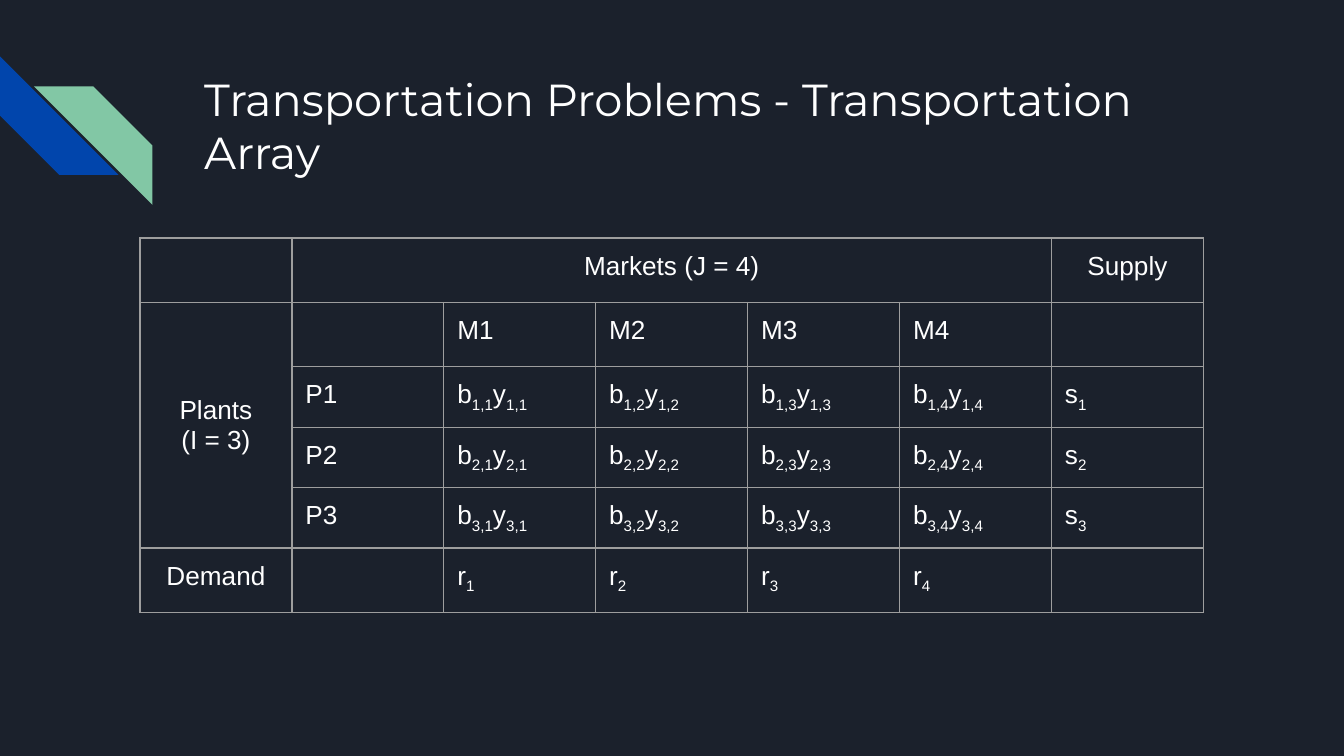
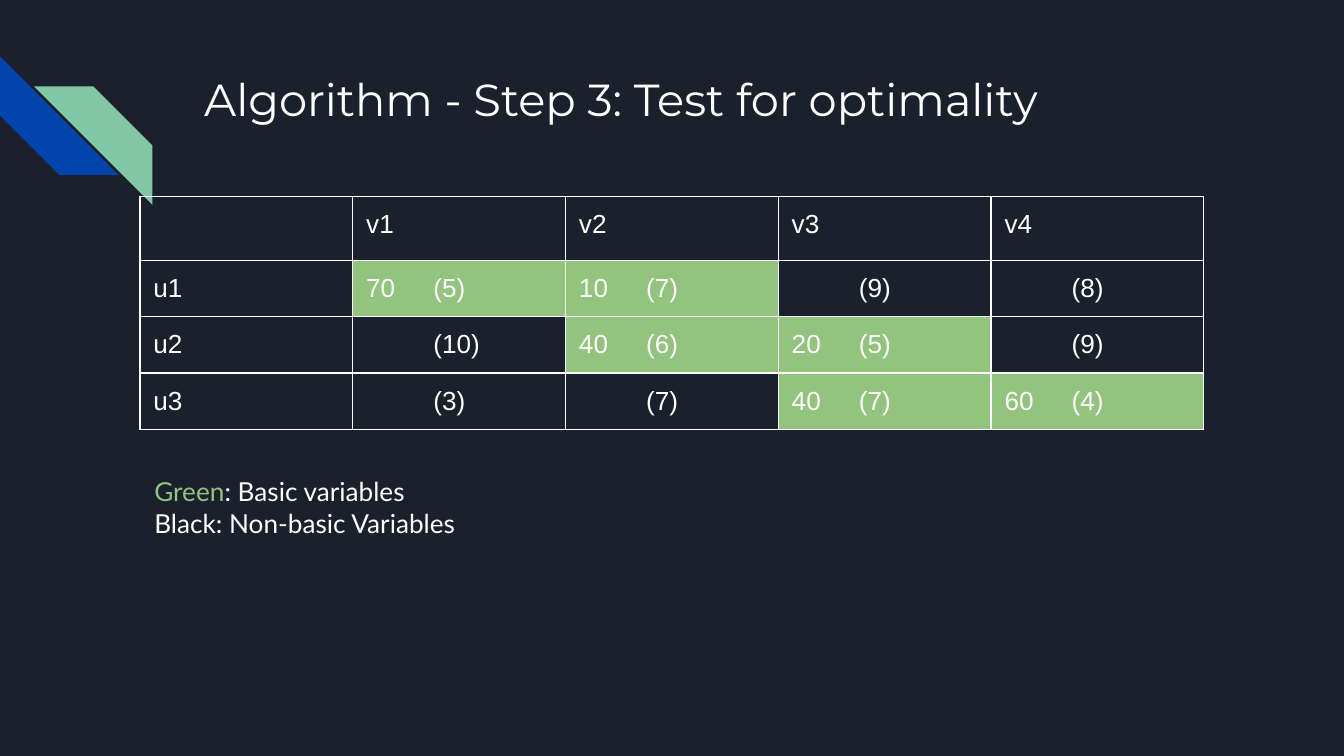
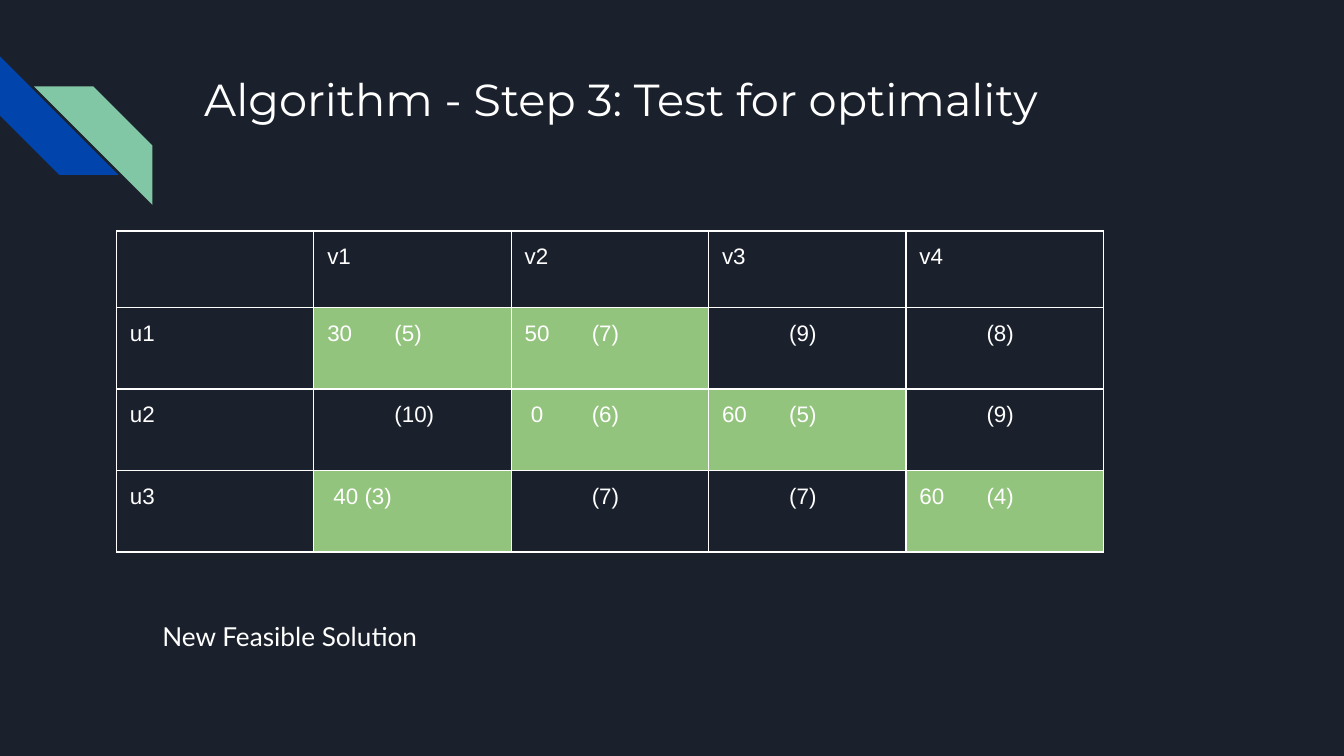
from dataclasses import dataclass

from lxml import etree
from pptx import Presentation
from pptx.dml.color import RGBColor
from pptx.enum.shapes import MSO_SHAPE
from pptx.enum.text import MSO_ANCHOR, MSO_AUTO_SIZE, PP_ALIGN
from pptx.oxml.ns import qn
from pptx.util import Pt

STRIPE = MSO_SHAPE.DIAGONAL_STRIPE
TOP, MIDDLE = MSO_ANCHOR.TOP, MSO_ANCHOR.MIDDLE
LEFT, CENTER = PP_ALIGN.LEFT, PP_ALIGN.CENTER
NO_AUTOFIT = MSO_AUTO_SIZE.NONE


@dataclass(frozen=True)
class Theme:
    background: str = "1B212C"
    text: str = "FFFFFF"
    blue: str = "0145AC"
    mint: str = "82C7A5"
    basic: str = "93C47D"
    gray_line: str = "9E9E9E"
    title_font: str = "Montserrat"
    caption_font: str = "Lato"
    table_font: str = "Arial"
    title_size: float = 24
    body_size: float = 14
    small_size: float = 12
    inset: float = 7.2
    border: float = 0.75


theme = Theme()


def format_text(frame, font, size, align=LEFT):
    frame.word_wrap = True
    frame.margin_left = frame.margin_right = Pt(theme.inset)
    frame.margin_top = frame.margin_bottom = Pt(theme.inset)
    for paragraph in frame.paragraphs:
        paragraph.alignment = align
        for run in paragraph.runs:
            run.font.name = font
            run.font.size = Pt(size)
            run.font.color.rgb = RGBColor.from_string(theme.text)


def draw_borders(cell, color):
    properties = cell._tc.get_or_add_tcPr()
    for position, side in enumerate(("lnL", "lnR", "lnT", "lnB")):
        line = etree.Element(qn(f"a:{side}"), w=str(Pt(theme.border)))
        fill = etree.SubElement(line, qn("a:solidFill"))
        etree.SubElement(fill, qn("a:srgbClr"), val=color)
        properties.insert(position, line)


transport_rows = [
    ["", "Markets (J = 4)", "", "", "", "", "Supply"],
    ["Plants\n(I = 3)", "", "M1", "M2", "M3", "M4", ""],
]
for plant in range(1, 4):
    routes = [("b", f"{plant},{market}", "y", f"{plant},{market}") for market in range(1, 5)]
    transport_rows.append(["", f"P{plant}", *routes, ("s", str(plant))])
transport_rows.append(["Demand", "", *[("r", str(market)) for market in range(1, 5)], ""])

market_labels = ["", "v1", "v2", "v3", "v4"]
content = [
    {
        "title": "Transportation Problems - Transportation Array",
        "rows": transport_rows,
        "origin": (75, 127.5),
        "column_width": 81.4,
        "row_heights": [34.5, 34.5, 32.2, 32.2, 32.2, 34.5],
        "size": theme.body_size,
        "line": theme.gray_line,
        "merges": [(0, 1, 0, 5), (1, 0, 4, 0)],
    },
    {
        "title": "Algorithm - Step 3: Test for optimality",
        "rows": [
            market_labels,
            ["u1", "70\t(5)", "10\t(7)", "\t(9)", "\t(8)"],
            ["u2", "\t(10)", "40\t(6)", "20\t(5)", "\t(9)"],
            ["u3", "\t(3)", "\t(7)", "40\t(7)", "60\t(4)"],
        ],
        "origin": (75, 105.2),
        "column_width": 114,
        "row_heights": [34.3, 30.2, 30.2, 30.2],
        "size": theme.body_size,
        "line": theme.text,
        "cost_tab": 23.35,
        "caption": "Green: Basic variables\nBlack: Non-basic Variables",
        "caption_box": (75.6, 247.7, 570, 124),
    },
    {
        "title": "Algorithm - Step 3: Test for optimality",
        "rows": [
            market_labels,
            ["u1", "30\t(5)", "50\t(7)", "\t(9)", "\t(8)"],
            ["u2", "\t(10)", " 0\t(6)", "60\t(5)", "\t(9)"],
            ["u3", " 40 (3)", "\t(7)", "\t(7)", "60\t(4)"],
        ],
        "origin": (62.4, 123.7),
        "column_width": 105.75,
        "row_heights": [41, 43.7, 43.7, 43.7],
        "size": theme.small_size,
        "line": theme.text,
        "cost_tab": 20,
        "caption": "New Feasible Solution",
        "caption_box": (79.9, 325.4, 313, 57),
    },
]

prs = Presentation()
prs.slide_width, prs.slide_height = Pt(720), Pt(405)
master = prs.slide_master
master.background.fill.solid()
master.background.fill.fore_color.rgb = RGBColor.from_string(theme.background)
layout = prs.slide_layouts.get_by_name("Title Only")
for unused in list(prs.slide_layouts):
    if unused.name != layout.name:
        prs.slide_layouts.remove(unused)
for placeholder in master.placeholders:
    placeholder.top, placeholder.height = int(placeholder.top * 0.75), int(placeholder.height * 0.75)
title_area, *footers = layout.placeholders
for footer in footers:
    footer._element.getparent().remove(footer._element)
title_area.left, title_area.top = Pt(102.2), Pt(31)
title_area.width, title_area.height = Pt(554.4), Pt(72)

for number, page in enumerate(content):
    slide = prs.slides.add_slide(layout)
    if number == 0:
        for left, top, color, rotation in ((0, 30.2, theme.blue, 270), (18.2, 46.3, theme.mint, 0)):
            stripe = slide.shapes.add_shape(STRIPE, Pt(left), Pt(top), Pt(63.5), Pt(63.5))
            stripe.shadow.inherit = False
            stripe.fill.solid()
            stripe.fill.fore_color.rgb = RGBColor.from_string(color)
            stripe.line.fill.background()
            stripe.rotation = rotation
            if not rotation:
                stripe._element.spPr.find(qn("a:xfrm")).set("flipH", "1")
            layout.shapes._spTree.append(stripe._element)

    heading = slide.shapes.title.text_frame
    heading.text = page["title"]
    heading.auto_size = NO_AUTOFIT
    heading.vertical_anchor = TOP
    format_text(heading, theme.title_font, theme.title_size)

    rows, heights = page["rows"], page["row_heights"]
    column_count = len(rows[0])
    left, top = page["origin"]
    table = slide.shapes.add_table(
        len(rows), column_count, Pt(left), Pt(top),
        Pt(page["column_width"] * column_count), Pt(sum(heights)),
    ).table
    table.first_row = table.horz_banding = False
    for column in table.columns:
        column.width = Pt(page["column_width"])
    for table_row, height in zip(table.rows, heights):
        table_row.height = Pt(height)

    for r, row in enumerate(rows):
        for c, entry in enumerate(row):
            cell = table.cell(r, c)
            if "cost_tab" in page and r and c and not entry.startswith("\t"):
                cell.fill.solid()
                cell.fill.fore_color.rgb = RGBColor.from_string(theme.basic)
            else:
                cell.fill.background()
            draw_borders(cell, page["line"])
            if not entry:
                continue
            frame = cell.text_frame
            paragraph = frame.paragraphs[0]
            if isinstance(entry, tuple):
                for index, part in enumerate(entry):
                    run = paragraph.add_run()
                    run.text = part
                    if index % 2:
                        run._r.get_or_add_rPr().set("baseline", "-25000")
            else:
                frame.text = entry
            if "\t" in entry:
                cost_tab = 27 if entry.startswith(" ") else page["cost_tab"]
                tabs = etree.SubElement(paragraph._p.get_or_add_pPr(), qn("a:tabLst"))
                etree.SubElement(tabs, qn("a:tab"), pos=str(Pt(cost_tab)), algn="l")
            centered = "merges" in page and (r == 0 or c == 0)
            format_text(frame, theme.table_font, page["size"], CENTER if centered else LEFT)
            cell.margin_left = cell.margin_right = Pt(theme.inset)
            cell.margin_top = cell.margin_bottom = Pt(theme.inset)
            cell.vertical_anchor = MIDDLE if "\n" in entry else TOP
    for first_row, first_column, last_row, last_column in page.get("merges", []):
        table.cell(first_row, first_column).merge(table.cell(last_row, last_column))

    if "caption" in page:
        caption = slide.shapes.add_textbox(*map(Pt, page["caption_box"])).text_frame
        caption.text = page["caption"]
        legend = caption.paragraphs[0]
        if legend.text.startswith("Green"):
            rest = legend.text.removeprefix("Green")
            legend.text = "Green"
            legend.add_run().text = rest
        format_text(caption, theme.caption_font, theme.body_size)
        if len(legend.runs) > 1:
            legend.runs[0].font.color.rgb = RGBColor.from_string(theme.basic)

prs.save("out.pptx")
